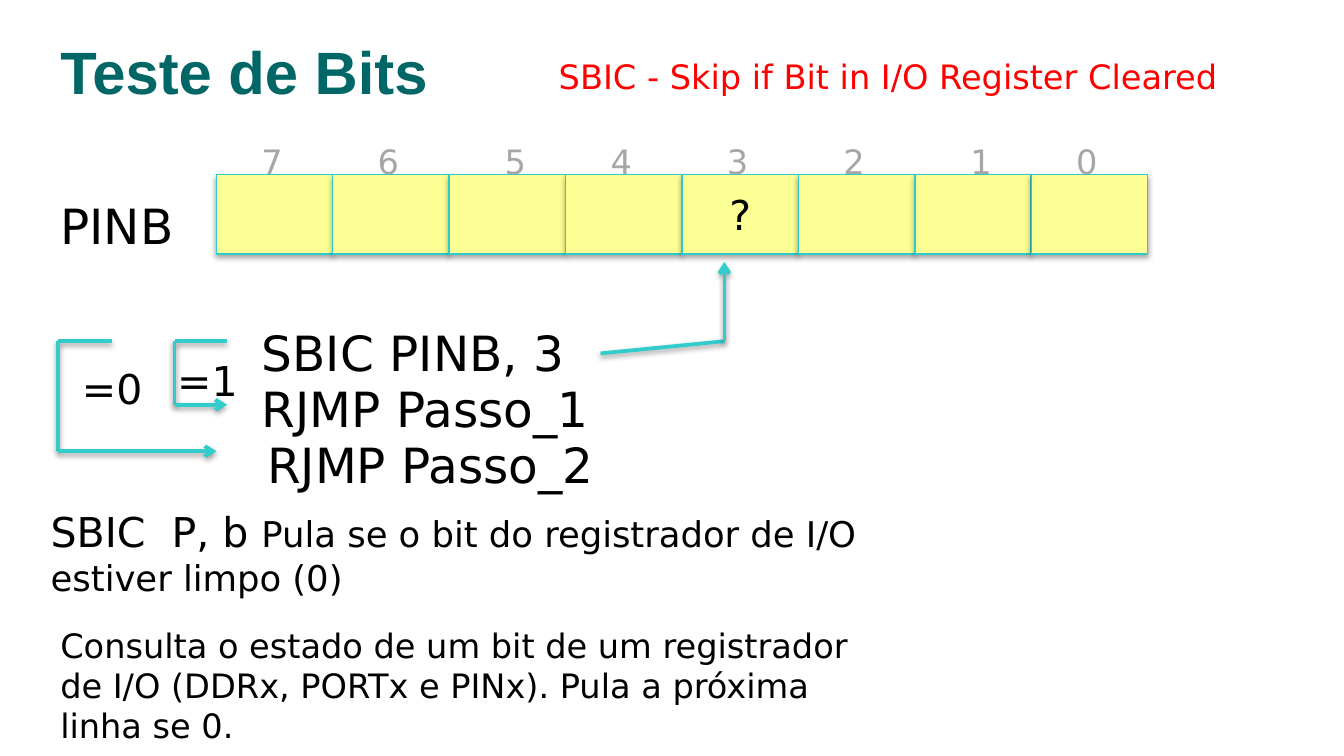
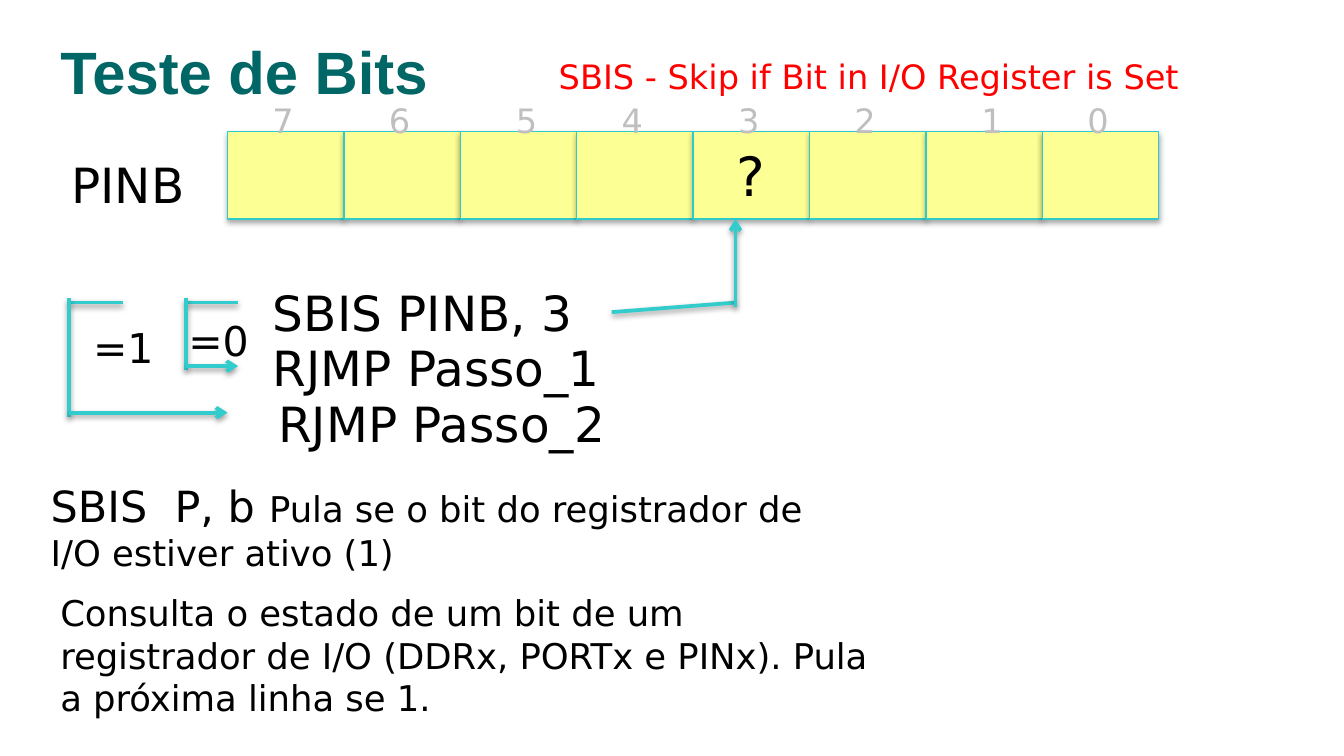
from dataclasses import dataclass
from lxml.etree import SubElement
from pptx import Presentation
from pptx.dml.color import RGBColor
from pptx.enum.shapes import MSO_CONNECTOR, MSO_SHAPE
from pptx.enum.text import MSO_ANCHOR, MSO_AUTO_SIZE, PP_ALIGN
from pptx.oxml.ns import qn
from pptx.util import Cm, Pt

TEAL = RGBColor(0x00, 0x66, 0x66)
RED = RGBColor(0xFF, 0x00, 0x00)
BLACK = RGBColor(0x00, 0x00, 0x00)
YELLOW = RGBColor(0xFC, 0xFF, 0x93)
CELL_EDGE = RGBColor(0x2E, 0xCB, 0xCB)
CYAN = RGBColor(0x33, 0xCC, 0xCC)
GRAY = RGBColor(0xA6, 0xA6, 0xA6)
LIGHT_GRAY = RGBColor(0xBF, 0xBF, 0xBF)

BODY_FONT = "DejaVu Sans"
TITLE_FONT = "Arial"
CELL_W = 2.2
BITS = range(7, -1, -1)
TESTED_BIT = 3
NUDGED_BITS = (5, 1)


@dataclass(frozen=True)
class Box:
    x: float
    y: float
    w: float
    h: float


@dataclass(frozen=True)
class Line:
    x1: float
    y1: float
    x2: float
    y2: float
    arrow: bool = False


@dataclass(frozen=True)
class BitTest:
    mnemonic: str
    subtitle: str
    subtitle_w: float
    dx: float
    text_dy: float
    line_dy: float
    overshoot: float
    cell_y: float
    cell_h: float
    mark_size: int
    bit_color: RGBColor
    link_rise: float
    pointer_end: float
    run_value: str
    skip_value: str
    meaning: str
    meaning_size: int
    meaning_box: Box
    detail: str
    detail_size: int
    detail_box: Box


TESTS = (
    BitTest("SBIC", "SBIC - Skip if Bit in I/O Register Cleared", 13.59,
            0, 0, 0, 0, 3.3, 1.5, 22, GRAY, 0.23, 4.95, "=1", "=0",
            "Pula se o bit do registrador de I/O estiver limpo (0)", 22,
            Box(0.71, 9.45, 17.4, 2.01),
            "Consulta o estado de um bit de um registrador de I/O "
            "(DDRx, PORTx e PINx). Pula a próxima linha se 0.", 18,
            Box(0.89, 11.68, 15.8, 2.57)),
    BitTest("SBIS", "SBIS - Skip if Bit in I/O Register is Set", 12.95,
            0.21, -0.77, -0.73, 0.08, 2.49, 1.65, 29, LIGHT_GRAY, 0.18, 4.14, "=0", "=1",
            "Pula se o bit do registrador de I/O estiver ativo (1)", 23,
            Box(0.71, 8.94, 15.6, 2.06),
            "Consulta o estado de um bit de um registrador de I/O "
            "(DDRx, PORTx e PINx). Pula a próxima linha se 1.", 19,
            Box(0.89, 11.05, 16, 2.69)),
)


def add_run(p, text: str, *, size: int, color: RGBColor = BLACK,
            font: str = BODY_FONT, bold: bool = False) -> None:
    r = p.add_run()
    r.text = text
    r.font.name = font
    r.font.size = Pt(size)
    r.font.bold = bold
    r.font.color.rgb = color


def add_text(s, box: Box, text: str, *, wrap: bool = False, grow: bool = True,
             anchor: MSO_ANCHOR = MSO_ANCHOR.TOP, **run_format):
    sp = s.shapes.add_textbox(Cm(box.x), Cm(box.y), Cm(box.w), Cm(box.h))
    tf = sp.text_frame
    tf.word_wrap = wrap
    tf.auto_size = MSO_AUTO_SIZE.SHAPE_TO_FIT_TEXT if grow else MSO_AUTO_SIZE.NONE
    tf.vertical_anchor = anchor
    p = tf.paragraphs[0]
    add_run(p, text, **run_format)
    return p


def add_shadow(sp, distance: float, alpha: int) -> None:
    effects = SubElement(sp.element.spPr, qn("a:effectLst"))
    shadow = SubElement(effects, qn("a:outerShdw"), blurRad=str(Pt(3.1)),
                        dist=str(Pt(distance)), dir="5400000", rotWithShape="0")
    color = SubElement(shadow, qn("a:srgbClr"), val=str(BLACK))
    SubElement(color, qn("a:alpha"), val=str(alpha * 1000))


def add_line(s, line: Line) -> None:
    sp = s.shapes.add_connector(MSO_CONNECTOR.STRAIGHT, Cm(line.x1), Cm(line.y1),
                                Cm(line.x2), Cm(line.y2))
    sp.line.color.rgb = CYAN
    sp.line.width = Pt(2)
    if line.arrow:
        SubElement(sp.element.spPr.find(qn("a:ln")), qn("a:tailEnd"), type="arrow")
    add_shadow(sp, 1.6, 38)


def add_cell(s, box: Box):
    sp = s.shapes.add_shape(MSO_SHAPE.RECTANGLE, Cm(box.x), Cm(box.y), Cm(box.w), Cm(box.h))
    sp.fill.solid()
    sp.fill.fore_color.rgb = YELLOW
    sp.line.color.rgb = CELL_EDGE
    sp.line.width = Pt(0.75)
    add_shadow(sp, 1.8, 35)
    return sp


def draw_register(s, t: BitTest) -> None:
    left = 4.09 + t.dx
    for i, bit in enumerate(BITS):
        cell = add_cell(s, Box(left + i * CELL_W, t.cell_y, CELL_W, t.cell_h))
        if bit == TESTED_BIT:
            tf = cell.text_frame
            tf.vertical_anchor = MSO_ANCHOR.MIDDLE
            p = tf.paragraphs[0]
            p.alignment = PP_ALIGN.CENTER
            add_run(p, "?", size=t.mark_size)
    for i, bit in enumerate(BITS):
        nudge = 0.2 if bit in NUDGED_BITS else 0
        add_text(s, Box(left + 0.6 + i * CELL_W + nudge, 2.54 + t.text_dy, 0.91, 1.02),
                 str(bit), size=18, color=t.bit_color)
    add_text(s, Box(0.89 + t.dx, 3.58 + t.text_dy, 2.79, 1.37), "PINB", size=26)


def draw_bracket(s, left: float, top: float, bottom: float, stub: float,
                 tip: float, overshoot: float) -> None:
    add_line(s, Line(stub, top, left, top))
    add_line(s, Line(left, top - overshoot, left, bottom + overshoot))
    add_line(s, Line(left, bottom, tip, bottom, arrow=True))


def draw_code(s, t: BitTest) -> None:
    code = ((4.7, 5.99, 6.65, f"{t.mnemonic} PINB, 3"),
            (4.7, 7.04, 7.04, "RJMP Passo_1"),
            (4.8, 8.1, 7.04, "RJMP Passo_2"))
    for x, y, w, text in code:
        add_text(s, Box(x + t.dx, y + t.text_dy, w, 1.37), text, size=26)

    top = 6.45 + t.line_dy
    pointer_x = 13.69 + t.dx
    add_line(s, Line(11.35 + t.dx, top + t.link_rise, pointer_x, top))
    add_line(s, Line(pointer_x, top + t.overshoot, pointer_x, t.pointer_end, arrow=True))
    draw_bracket(s, 3.3 + t.dx, top, top + 1.2, 4.29 + t.dx, 4.29 + t.dx, t.overshoot)
    draw_bracket(s, 1.09 + t.dx, top, top + 2.08, 2.11 + t.dx, 4.09 + t.dx, t.overshoot)

    for x, y, value in ((3.1, 6.6, t.run_value), (1.3, 6.75, t.skip_value)):
        add_text(s, Box(x + t.dx, y + t.text_dy, 1.65, 1.19), value, size=22)


def draw_slide(prs, t: BitTest) -> None:
    s = prs.slides.add_slide(prs.slide_layouts[6])
    draw_register(s, t)
    draw_code(s, t)
    p = add_text(s, t.meaning_box, f"{t.mnemonic}  P, b ", wrap=True, size=t.meaning_size)
    add_run(p, t.meaning, size=19)
    add_text(s, t.detail_box, t.detail, wrap=True, size=t.detail_size)
    add_text(s, Box(0.89, -0.25, 20.32, 2.39), "Teste de Bits", wrap=True, grow=False,
             anchor=MSO_ANCHOR.BOTTOM, size=32, color=TEAL, font=TITLE_FONT, bold=True)
    add_text(s, Box(10.31, 0.94, t.subtitle_w, 1.02), t.subtitle, size=18, color=RED)


def main() -> None:
    prs = Presentation()
    prs.slide_width = Cm(25.4)
    prs.slide_height = Cm(14.29)
    for t in TESTS:
        draw_slide(prs, t)
    prs.save("out.pptx")


if __name__ == "__main__":
    main()
